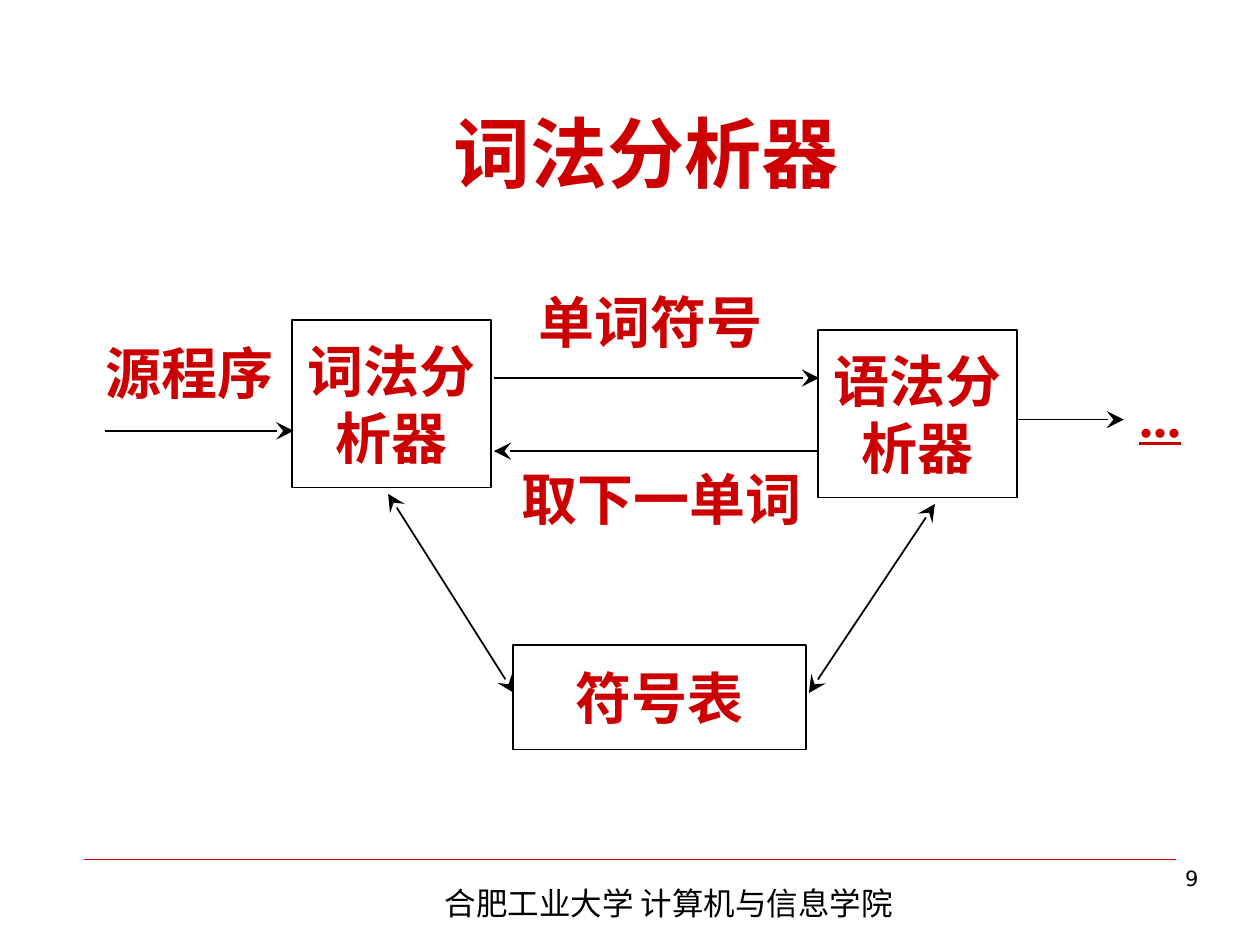
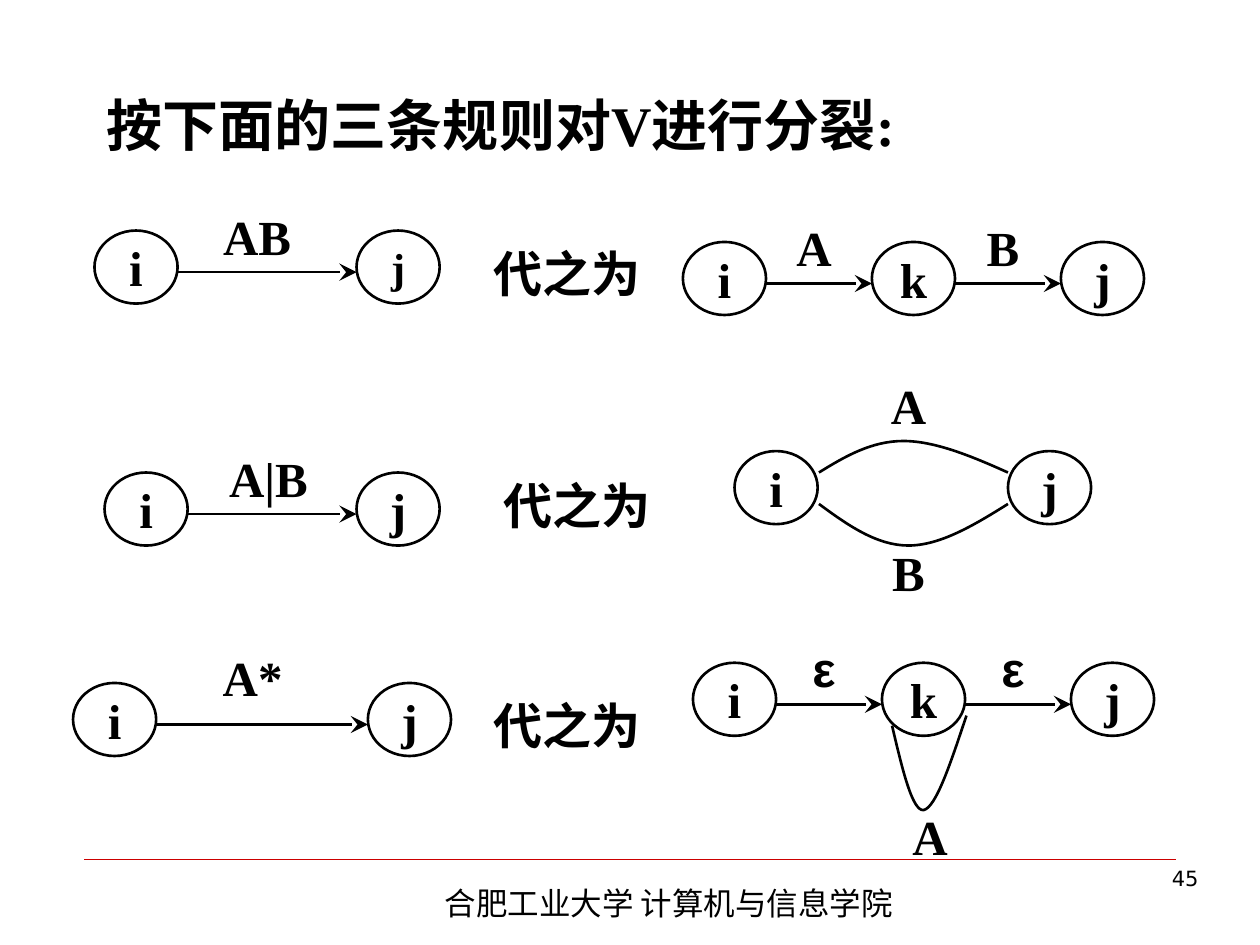
"""Build two compiler-course slides: the lexical analyser and the splitting rules."""
from dataclasses import dataclass

from lxml import etree
from pptx import Presentation
from pptx.dml.color import RGBColor
from pptx.enum.shapes import MSO_CONNECTOR, MSO_SHAPE
from pptx.enum.text import MSO_ANCHOR, PP_ALIGN
from pptx.oxml.ns import qn
from pptx.util import Inches, Pt

STRAIGHT = MSO_CONNECTOR.STRAIGHT
RECTANGLE, OVAL = MSO_SHAPE.RECTANGLE, MSO_SHAPE.OVAL
TOP, MIDDLE = MSO_ANCHOR.TOP, MSO_ANCHOR.MIDDLE
LEFT, CENTER, RIGHT, JUSTIFY = PP_ALIGN.LEFT, PP_ALIGN.CENTER, PP_ALIGN.RIGHT, PP_ALIGN.JUSTIFY


@dataclass(frozen=True)
class Theme:
    """Colours, fonts, type sizes and line widths."""
    red: RGBColor = RGBColor(0xCC, 0x00, 0x00)
    black: RGBColor = RGBColor(0x00, 0x00, 0x00)
    serif: str = "Times New Roman"
    greek: str = "Arial"
    number: str = "DejaVu Sans"
    chinese: str = "Noto Sans CJK SC"
    title_size: int = 44
    block_size: int = 32
    state_size: int = 28
    small_state_size: int = 24
    footer_size: int = 18
    number_size: int = 12
    rule_width: float = 0.25
    block_line: float = 1
    state_line: float = 1.5


THEME = Theme()
STATE_WIDTH, STATE_HEIGHT = 0.66, 0.58
ARROW_DROP = 0.33


def write(shape, text, size, color=THEME.black, font=THEME.serif, bold=True,
          underline=None, align=CENTER, anchor=MIDDLE, wrap=False):
    """Fill a shape with text, one paragraph per line."""
    frame = shape.text_frame
    frame.word_wrap = wrap
    frame.vertical_anchor = anchor
    for index, line in enumerate(text.split("\n")):
        para = frame.add_paragraph() if index else frame.paragraphs[0]
        para.alignment = align
        span = para.add_run()
        span.text = line
        span.font.name = font
        span.font.size = Pt(size)
        span.font.bold = bold
        span.font.underline = underline
        span.font.color.rgb = color
        east_asian = etree.SubElement(span.font._element, qn("a:ea"))
        east_asian.set("typeface", THEME.chinese)


def add_text(page, at, text, size, **style):
    """Add a text box at left, top, width, height."""
    box = page.shapes.add_textbox(*map(Inches, at))
    write(box, text, size, **style)


def outline(shape, width):
    """Leave a shape unfilled with a plain black outline."""
    shape.shadow.inherit = False
    shape.fill.background()
    shape.line.color.rgb = THEME.black
    shape.line.width = Pt(width)


def add_line(page, start, end, width, color=THEME.black, ends=()):
    """Add a straight line with large stealth arrowheads at the named ends."""
    line = page.shapes.add_connector(STRAIGHT, *map(Inches, (*start, *end)))
    line.line.color.rgb = color
    line.line.width = Pt(width)
    stroke = line.line._get_or_add_ln()
    for name in ends:
        etree.SubElement(stroke, qn("a:" + name), type="stealth", w="lg", len="lg")
    etree.SubElement(line._element.spPr, qn("a:effectLst"))


def add_block(page, at, text):
    """Add a labelled rectangle of the block diagram."""
    block = page.shapes.add_shape(RECTANGLE, *map(Inches, at))
    outline(block, THEME.block_line)
    write(block, text, THEME.block_size, color=THEME.red)


def add_state(page, left, top, name, size=THEME.state_size):
    """Add a state circle of an automaton."""
    state = page.shapes.add_shape(
        OVAL, *map(Inches, (left, top, STATE_WIDTH, STATE_HEIGHT)))
    outline(state, THEME.state_line)
    write(state, name, size)


def add_chain(page, top, states):
    """Add states in a row, each joined to the next by an arrow."""
    for left, name, *size in states:
        add_state(page, left, top, name, *size)
    level = top + ARROW_DROP
    for (left, *_), (next_left, *_) in zip(states, states[1:]):
        add_line(page, (left + STATE_WIDTH, level), (next_left, level),
                 THEME.state_line, ends=("tailEnd",))


def add_edge_label(page, left, top, text, font=THEME.serif, width=0.92):
    """Add the symbol that an edge carries."""
    add_text(page, (left, top, width, 0.58), text, THEME.state_size, font=font)


def add_curve(page, points):
    """Add an open curve of joined cubic segments, three points to each."""
    start, *rest = [tuple(map(Inches, point)) for point in points]
    builder = page.shapes.build_freeform(*start)
    builder.add_line_segments(rest, close=False)
    curve = builder.convert_to_shape()
    steps = list(curve._element.iter(qn("a:lnTo")))
    for first in range(0, len(steps), 3):
        cubic = etree.SubElement(steps[first].getparent(), qn("a:cubicBezTo"))
        for step in steps[first:first + 3]:
            cubic.append(step[0])
            step.getparent().remove(step)
    outline(curve, THEME.state_line)


def add_page(deck, number):
    """Add a blank page with the shared rule, footer and page number."""
    page = deck.slides.add_slide(deck.slide_layouts[6])
    add_line(page, (0.67, 6.82), (9.33, 6.82), THEME.rule_width, THEME.red)
    add_text(page, (3.43, 6.97, 4.72, 0.4), "合肥工业大学 计算机与信息学院", THEME.footer_size,
             font=THEME.chinese, bold=False, align=LEFT, anchor=TOP, wrap=True)
    add_text(page, (7.44, 6.82, 2.17, 0.52), number, THEME.number_size,
             font=THEME.number, bold=False, align=RIGHT, anchor=TOP, wrap=True)
    return page


def build_analyser(deck):
    """Show how the lexical analyser works with its neighbours."""
    page = add_page(deck, "9")
    add_text(page, (0.75, 0.58, 8.75, 1.25), "词法分析器", THEME.title_size,
             color=THEME.red, font=THEME.chinese, wrap=True)
    for at, text in (
        ((2.32, 2.54, 1.58, 1.33), "词法分\n析器"),
        ((6.49, 2.62, 1.58, 1.33), "语法分\n析器"),
        ((4.07, 5.12, 2.33, 0.83), "符号表"),
    ):
        add_block(page, at, text)
    for at, text, underline in (
        ((0.67, 2.58, 1.67, 0.75), "源程序", None),
        ((4.12, 2.17, 2.08, 0.75), "单词符号", None),
        ((4, 3.58, 2.5, 0.75), "取下一单词", None),
        ((8.75, 2.92, 0.92, 0.75), "...", True),
    ):
        add_text(page, at, text, THEME.block_size, color=THEME.red, underline=underline)
    one_way, two_way = ("tailEnd",), ("headEnd", "tailEnd")
    for start, end, ends in (
        ((0.83, 3.42), (2.33, 3.42), one_way),
        ((3.92, 3), (6.5, 3), one_way),
        ((6.5, 3.58), (3.92, 3.58), one_way),
        ((8.08, 3.33), (8.92, 3.33), one_way),
        ((3.08, 3.92), (4.08, 5.5), two_way),
        ((7.42, 4), (6.42, 5.5), two_way),
    ):
        add_line(page, start, end, THEME.block_line, ends=ends)


def build_splitting_rules(deck):
    """Show the three rules that split an edge."""
    page = add_page(deck, "45")
    add_text(page, (0.75, 0.67, 8.5, 0.75), "按下面的三条规则对V进行分裂:", THEME.block_size,
             align=JUSTIFY, anchor=TOP, wrap=True)
    for left, top in ((3.76, 1.83), (3.84, 3.67), (3.76, 5.42)):
        add_text(page, (left, top, 1.48, 0.67), "代之为", THEME.state_size)

    add_chain(page, 1.83, [(0.75, "i"), (2.83, "j", THEME.small_state_size)])
    add_edge_label(page, 1.58, 1.58, "AB")
    add_chain(page, 1.92, [(5.42, "i"), (6.92, "k"), (8.42, "j")])
    add_edge_label(page, 6, 1.67, "A")
    add_edge_label(page, 7.5, 1.67, "B")

    add_chain(page, 3.75, [(0.83, "i"), (2.83, "j")])
    add_edge_label(page, 1.67, 3.5, "A|B")
    add_state(page, 5.83, 3.58, "i")
    add_state(page, 8, 3.58, "j")
    add_curve(page, [(6.5, 3.75), (6.71, 3.62), (6.92, 3.5), (7.17, 3.5),
                     (7.42, 3.5), (7.71, 3.62), (8, 3.75)])
    add_curve(page, [(6.5, 4), (6.73, 4.17), (6.96, 4.33), (7.21, 4.33),
                     (7.46, 4.33), (7.73, 4.17), (8, 4)])
    add_edge_label(page, 6.75, 2.92, "A")
    add_edge_label(page, 6.75, 4.25, "B")

    add_chain(page, 5.42, [(0.58, "i"), (2.92, "j")])
    add_edge_label(page, 1.42, 5.08, "A*", width=1.17)
    add_chain(page, 5.26, [(5.5, "i"), (7, "k"), (8.5, "j")])
    for left in (6.08, 7.58):
        add_edge_label(page, left, 5.01, "ε", THEME.greek)
    add_curve(page, [(7.67, 5.68), (7.55, 6.04), (7.43, 6.41), (7.33, 6.43),
                     (7.24, 6.44), (7.16, 6.1), (7.08, 5.76)])
    add_edge_label(page, 6.92, 6.34, "A")


def main():
    """Build and save the deck."""
    deck = Presentation()
    deck.slide_width, deck.slide_height = Inches(10), Inches(7.5)
    build_analyser(deck)
    build_splitting_rules(deck)
    deck.save("out.pptx")


if __name__ == "__main__":
    main()
